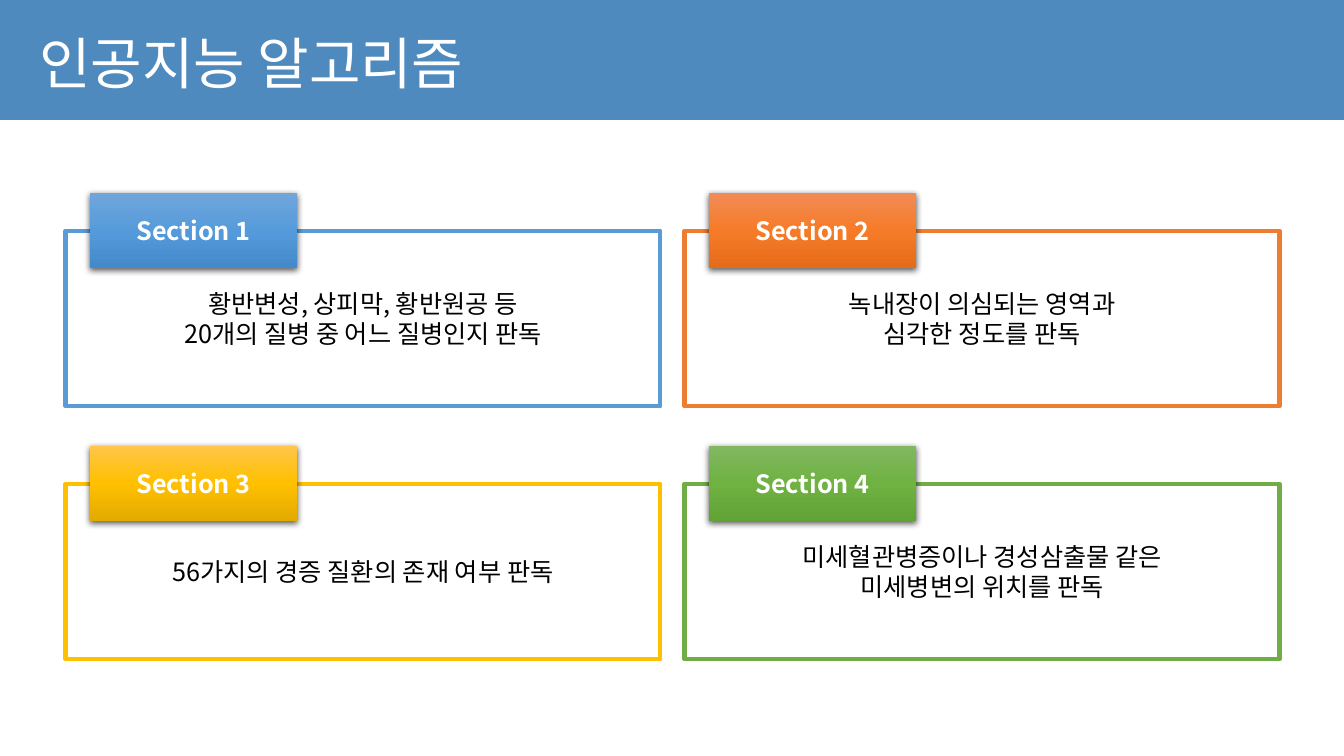
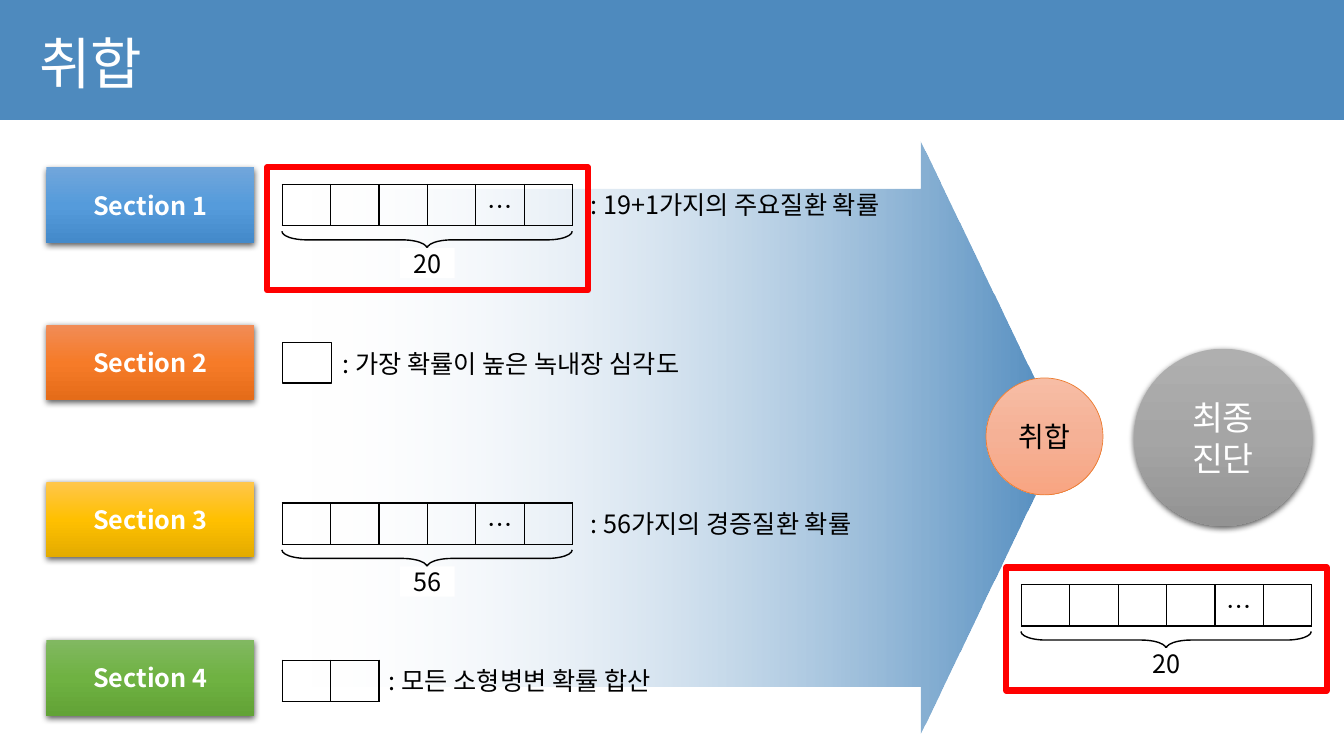
from lxml import etree
from pptx import Presentation
from pptx.dml.color import RGBColor
from pptx.enum.shapes import MSO_SHAPE
from pptx.enum.text import MSO_ANCHOR, MSO_AUTO_SIZE, PP_ALIGN
from pptx.oxml.ns import qn
from pptx.util import Pt

PX = 9144  # 100 px to the inch
WIDTH, HEIGHT = 1333, 750
FONT = "Noto Sans CJK KR"

WHITE = RGBColor(0xFF, 0xFF, 0xFF)
BLACK = RGBColor(0, 0, 0)
RED = RGBColor(0xFF, 0, 0)
BAND_BLUE = RGBColor(0x4E, 0x8A, 0xBE)
PALE_BLUE = RGBColor(0xF7, 0xFA, 0xFD)
BLUE = RGBColor(0x5B, 0x9B, 0xD5)
ORANGE = RGBColor(0xED, 0x7D, 0x31)
YELLOW = RGBColor(0xFF, 0xC0, 0x00)
GREEN = RGBColor(0x70, 0xAD, 0x47)


def shades(*codes):
    """Three colours spread evenly from the top of a shape to its foot."""
    return [(place, RGBColor.from_string(code), 100)
            for place, code in zip((0, 50, 100), codes)]


BLUE_SHADES = shades("71A6DB", "559BDB", "448ACA")
ORANGE_SHADES = shades("F18C57", "F67B28", "E56C19")
YELLOW_SHADES = shades("FFC64B", "FFC000", "E3AB00")
GREEN_SHADES = shades("81B861", "6FB242", "62A336")
GREY_SHADES = shades("AFAFAF", "A5A5A5", "939393")
PEACH_SHADES = shades("F7BDA5", "F5B196", "F8A582")
ARROW_SHADES = [(0, PALE_BLUE, 0), (100, BAND_BLUE, 100)]

SECTIONS = [
    ("Section 1", BLUE, BLUE_SHADES),
    ("Section 2", ORANGE, ORANGE_SHADES),
    ("Section 3", YELLOW, YELLOW_SHADES),
    ("Section 4", GREEN, GREEN_SHADES),
]
CARD_TEXTS = [
    ["황반변성, 상피막, 황반원공 등", "20개의 질병 중 어느 질병인지 판독"],
    ["녹내장이 의심되는 영역과", "심각한 정도를 판독"],
    ["56가지의 경증 질환의 존재 여부 판독"],
    ["미세혈관병증이나 경성삼출물 같은", "미세병변의 위치를 판독"],
]

RECTANGLE = MSO_SHAPE.RECTANGLE
OVAL = MSO_SHAPE.OVAL
RIGHT_ARROW = MSO_SHAPE.RIGHT_ARROW
RIGHT_BRACE = MSO_SHAPE.RIGHT_BRACE
CENTER = PP_ALIGN.CENTER
MIDDLE = MSO_ANCHOR.MIDDLE
FIT_SHAPE = MSO_AUTO_SIZE.SHAPE_TO_FIT_TEXT

CELL = 48
STRIP_HEIGHT = 41
BRACE_DEPTH = 17


def emu(*lengths):
    return [length * PX for length in lengths]


def child(parent, tag, **attributes):
    return etree.SubElement(parent, qn(tag), {k: str(v) for k, v in attributes.items()})


def write(frame, lines, size=18, color=BLACK, bold=False, align=None):
    for index, line in enumerate(lines):
        para = frame.paragraphs[0] if index == 0 else frame.add_paragraph()
        para.alignment = align
        span = para.add_run()
        span.text = line
        span.font.size = Pt(size)
        span.font.bold = bold
        span.font.color.rgb = color
        span.font.name = FONT
        child(span.font._element, "a:ea", typeface=FONT)


def set_gradient(shape, stops, angle):
    shape.fill.gradient()
    shape.fill.gradient_angle = angle
    stop_list = shape.element.spPr.find(qn("a:gradFill")).find(qn("a:gsLst"))
    for stop in list(stop_list):
        stop_list.remove(stop)
    for place, color, opacity in stops:
        stop = child(stop_list, "a:gs", pos=place * 1000)
        tint = child(stop, "a:srgbClr", val=color)
        if opacity < 100:
            child(tint, "a:alpha", val=opacity * 1000)


def add_soft_shadow(shape):
    effects = shape.element.spPr.find(qn("a:effectLst"))
    shadow = child(effects, "a:outerShdw", blurRad=Pt(4.5), dist=Pt(1.5),
                   dir=90 * 60000, algn="ctr", rotWithShape=0)
    tint = child(shadow, "a:srgbClr", val=BLACK)
    child(tint, "a:alpha", val=63000)


def add_box(page, at, kind=RECTANGLE, fill=None, line=None, weight=1, angle=270):
    """Add a preset shape; fill is a colour, a list of gradient stops or None."""
    box = page.shapes.add_shape(kind, *emu(*at))
    box.shadow.inherit = False
    if fill is None:
        box.fill.background()
    elif isinstance(fill, list):
        set_gradient(box, fill, angle)
    else:
        box.fill.solid()
        box.fill.fore_color.rgb = fill
    if line is None:
        box.line.fill.background()
    else:
        box.line.color.rgb = line
        box.line.width = Pt(weight)
    return box


def write_centered(box, lines, **style):
    box.text_frame.vertical_anchor = MIDDLE
    write(box.text_frame, lines, align=CENTER, **style)


def add_text(page, at, text, wrap=True, **style):
    box = page.shapes.add_textbox(*emu(*at))
    box.text_frame.word_wrap = wrap
    box.text_frame.auto_size = FIT_SHAPE
    write(box.text_frame, [text], **style)


def add_page(deck, title, title_width):
    page = deck.slides.add_slide(deck.slide_layouts[6])
    add_box(page, (0, 0, WIDTH, 119), fill=BAND_BLUE)
    add_text(page, (29, 23, title_width, 77), title, wrap=False, size=40, color=WHITE)
    return page


def add_tag(page, left, top, name, fill):
    tag = add_box(page, (left, top, 206, 75), fill=fill)
    add_soft_shadow(tag)
    write_centered(tag, [name], color=WHITE, bold=True)


def set_borders(cell):
    properties = cell._tc.get_or_add_tcPr()
    for index, side in enumerate(("a:lnL", "a:lnR", "a:lnT", "a:lnB")):
        border = child(properties, side, w=Pt(1))
        child(child(border, "a:solidFill"), "a:srgbClr", val=BLACK)
        properties.insert(index, border)


def add_strip(page, left, top, texts):
    """Add a one-row table with one square cell for each text."""
    count = len(texts)
    table = page.shapes.add_table(
        1, count, *emu(left, top, CELL * count, STRIP_HEIGHT)).table
    table.first_row = table.horz_banding = False
    for column, text in zip(table.columns, texts):
        column.width = CELL * PX
    for cell, text in zip(table.rows[0].cells, texts):
        cell.fill.background()
        cell.vertical_anchor = MIDDLE
        cell.margin_top = cell.margin_bottom = 0
        set_borders(cell)
        if text:
            write(cell.text_frame, [text], align=CENTER)


def add_counted_strip(page, left, top, count):
    """Add a strip of six cells with a brace and a count below it."""
    texts = ["", "", "", "", "…", ""]
    add_strip(page, left, top, texts)
    span = CELL * len(texts)
    middle = left + span // 2
    brace = add_box(page, (middle - BRACE_DEPTH // 2 - 1, top + 55 - span // 2,
                           BRACE_DEPTH, span), RIGHT_BRACE, line=BLACK)
    brace.rotation = 90
    brace.adjustments[0] = 1.45
    brace.adjustments[1] = 0.5
    label = add_box(page, (middle - 27, top + 63, 54, 30), fill=WHITE)
    write_centered(label, [count])


def add_red_frame(page, strip_left, strip_top, fill=None):
    add_box(page, (strip_left - 15, strip_top - 17, 318, 122),
            fill=fill, line=RED, weight=4.5)


def build_algorithms(deck):
    page = add_page(deck, "인공지능 알고리즘", 488)
    for index, ((name, color, fill), lines) in enumerate(zip(SECTIONS, CARD_TEXTS)):
        row, column = divmod(index, 2)
        left, top = 65 + 614 * column, 229 + 251 * row
        card = add_box(page, (left, top, 590, 174), fill=WHITE, line=color, weight=3)
        write_centered(card, lines)
        add_tag(page, left + 24, top - 38, name, fill)


def build_merging(deck):
    page = add_page(deck, "취합", 132)
    strip_left, final_left, final_top = 280, 1013, 580
    add_red_frame(page, final_left, final_top, WHITE)
    arrow = add_box(page, (306, 140, 748, 588), RIGHT_ARROW, fill=ARROW_SHADES, angle=0)
    arrow.adjustments[0] = 0.84
    arrow.adjustments[1] = 0.24

    diagnosis = add_box(page, (1125, 346, 176, 176), OVAL, fill=GREY_SHADES)
    add_soft_shadow(diagnosis)
    write_centered(diagnosis, ["최종", "진단"], size=24, color=WHITE)
    merge = add_box(page, (978, 375, 116, 116), OVAL,
                    fill=PEACH_SHADES, line=ORANGE, weight=0.5)
    write_centered(merge, ["취합"], size=20)

    for index, (name, _, fill) in enumerate(SECTIONS):
        add_tag(page, 46, 166 + index * 469 // 3, name, fill)

    add_counted_strip(page, strip_left, 183, "20")
    add_counted_strip(page, strip_left, 499, "56")
    add_box(page, (strip_left, 340, 49, 40), fill=WHITE, line=BLACK)
    add_strip(page, strip_left, 655, ["", ""])

    for left, top, width, text in [
        (576, 183, 344, ": 19+1가지의 주요질환 확률"),
        (576, 499, 314, ": 56가지의 경증질환 확률"),
        (330, 341, 414, ": 가장 확률이 높은 녹내장 심각도"),
        (376, 655, 414, ": 모든 소형병변 확률 합산"),
    ]:
        add_text(page, (left, top, width, 40), text)

    add_counted_strip(page, final_left, final_top, "20")
    add_red_frame(page, strip_left, 183)


def main():
    deck = Presentation()
    deck.slide_width, deck.slide_height = emu(WIDTH, HEIGHT)
    build_algorithms(deck)
    build_merging(deck)
    deck.save("out.pptx")


if __name__ == "__main__":
    main()
